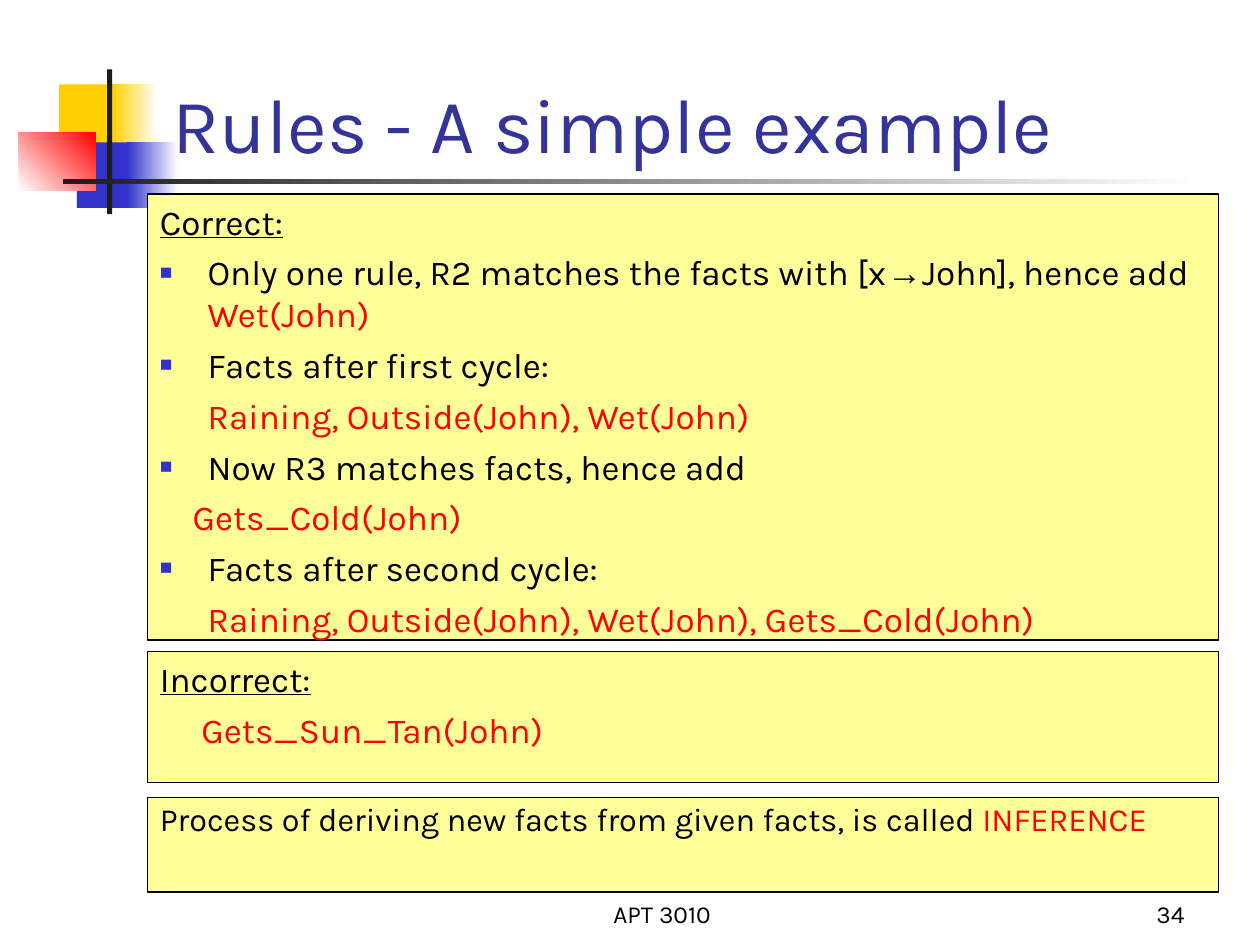
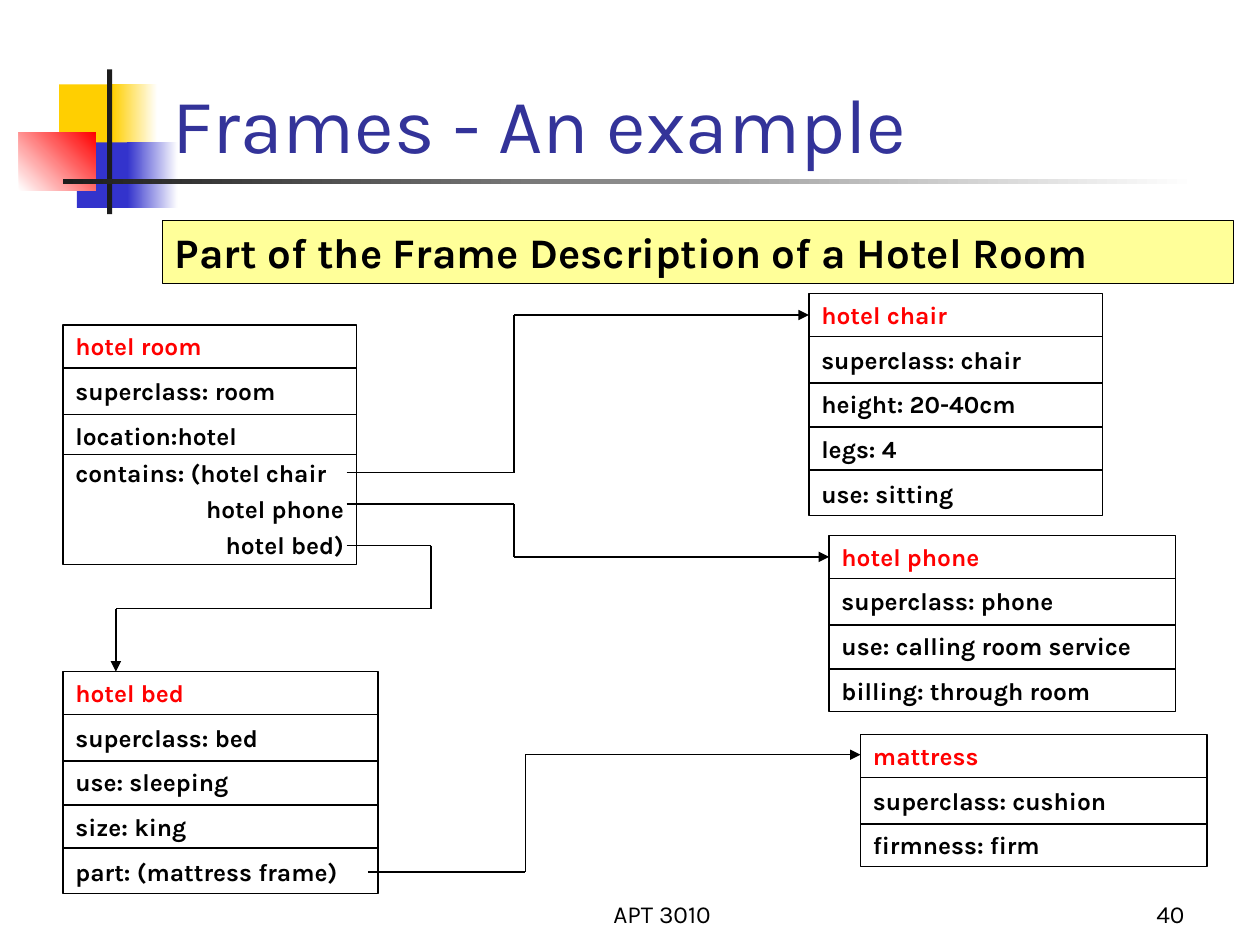
"""Build two lecture slides: a rule inference example and a frame description diagram."""
from dataclasses import dataclass
from itertools import pairwise

from lxml import etree
from pptx import Presentation
from pptx.dml.color import RGBColor
from pptx.enum.shapes import MSO_CONNECTOR, MSO_SHAPE
from pptx.enum.text import MSO_ANCHOR, PP_ALIGN
from pptx.oxml.ns import qn
from pptx.util import Cm, Pt

RECTANGLE = MSO_SHAPE.RECTANGLE
STRAIGHT = MSO_CONNECTOR.STRAIGHT
TOP, BOTTOM = MSO_ANCHOR.TOP, MSO_ANCHOR.BOTTOM
LEFT, CENTER, RIGHT = PP_ALIGN.LEFT, PP_ALIGN.CENTER, PP_ALIGN.RIGHT


@dataclass(frozen=True)
class Theme:
    font: str = "Karla"
    symbol_font: str = "Arial"
    ink: str = "000000"
    title: str = "333399"
    accent: str = "FF0000"
    panel: str = "FFFF99"
    white: str = "FFFFFF"
    yellow: str = "FFCF01"
    blue: str = "3333CC"
    bar: str = "1C1C1C"
    title_size: float = 44
    heading_size: float = 24
    body_size: float = 20
    note_size: float = 18.5
    small_size: float = 14
    outline: float = 0.74


THEME = Theme()
HANG = 0.38
ROW_LINES = (0.34, 0.71, 1.06, 1.4)


def inch(value):
    return Cm(value * 2.54)


def rgb(code):
    return RGBColor.from_string(code)


def red(text):
    return text, {"color": THEME.accent}


def add_bullet(paragraph):
    properties = paragraph._p.get_or_add_pPr()
    colour = etree.SubElement(properties, qn("a:buClr"))
    etree.SubElement(colour, qn("a:srgbClr"), val=THEME.blue)
    etree.SubElement(properties, qn("a:buSzPct"), val="60000")
    etree.SubElement(properties, qn("a:buFont"), typeface=THEME.symbol_font)
    etree.SubElement(properties, qn("a:buChar"), char="■")


def write(frame, runs, *, size=THEME.body_size, color=THEME.ink, bold=False,
          underline=False, align=LEFT, before=0, spacing=None, indent=0,
          bullet=False, anchor=TOP):
    """Add one paragraph, given as a string or as (text, overrides) runs."""
    frame.word_wrap = True
    frame.vertical_anchor = anchor
    first = frame.paragraphs[0]
    paragraph = frame.add_paragraph() if first.runs else first
    paragraph.alignment = align
    paragraph.space_before = Pt(before)
    if spacing:
        paragraph.line_spacing = spacing
    properties = paragraph._p.get_or_add_pPr()
    properties.set("marL", str(inch(indent)))
    properties.set("indent", str(-inch(indent) if bullet else 0))
    if bullet:
        add_bullet(paragraph)
    for text, changes in [(runs, {})] if isinstance(runs, str) else runs:
        run = paragraph.add_run()
        run.text = text
        font = run.font
        font.name = changes.get("font", THEME.font)
        font.size = Pt(size)
        font.bold = bold
        font.underline = underline
        font.color.rgb = rgb(changes.get("color", color))


def add_box(slide, area, fill=None, fade=None, angle=0, outlined=False):
    box = slide.shapes.add_shape(RECTANGLE, *map(inch, area))
    box.shadow.inherit = False
    if fade:
        box.fill.gradient()
        box.fill.gradient_angle = angle
        for stop, code in zip(box.fill.gradient_stops, (fill, fade)):
            stop.color.rgb = rgb(code)
    elif fill:
        box.fill.solid()
        box.fill.fore_color.rgb = rgb(fill)
    else:
        box.fill.background()
    if outlined:
        box.line.color.rgb = rgb(THEME.ink)
        box.line.width = Pt(THEME.outline)
    else:
        box.line.fill.background()
    return box.text_frame


def add_panel(slide, area):
    return add_box(slide, area, THEME.panel, outlined=True)


def add_label(slide, area, text, **style):
    label = slide.shapes.add_textbox(*map(inch, area))
    write(label.text_frame, text, anchor=BOTTOM, **style)


def add_line(slide, start, end, arrow=False):
    line = slide.shapes.add_connector(STRAIGHT, *map(inch, (*start, *end)))
    line.line.color.rgb = rgb(THEME.ink)
    line.line.width = Pt(THEME.outline)
    if arrow:
        etree.SubElement(line.line._get_or_add_ln(), qn("a:tailEnd"), type="triangle")
    etree.SubElement(line._element.spPr, qn("a:effectLst"))


def add_route(slide, *points):
    for start, end in pairwise(points):
        add_line(slide, start, end, arrow=end == points[-1])


def add_frame_card(slide, area, name, slots, fillers=(), row_lines=ROW_LINES):
    """Draw a frame: its name, its slots, and right-aligned extra fillers."""
    card = add_box(slide, area, outlined=True)
    style = {"size": THEME.small_size, "bold": True, "before": 8.8}
    write(card, name, color=THEME.accent, **style)
    for position, slot in enumerate(slots, 1):
        tight = 0.7 if fillers and position == len(slots) else None
        write(card, slot, spacing=tight, **style)
    for filler in fillers:
        write(card, filler, align=RIGHT, spacing=0.7, **style)
    left, top, width, _ = area
    for offset in row_lines[:len(slots)]:
        add_line(slide, (left, top + offset), (left + width, top + offset))


def start_slide(deck, title, number):
    slide = deck.slides.add_slide(deck.slide_layouts[6])
    add_box(slide, (0.47, 0.67, 0.48, 0.52), THEME.yellow)
    add_box(slide, (0.89, 0.67, 0.36, 0.52), THEME.yellow, THEME.white)
    add_box(slide, (0.61, 1.13, 0.46, 0.52), THEME.blue)
    add_box(slide, (1.01, 1.13, 0.4, 0.52), THEME.blue, THEME.white)
    add_box(slide, (0.15, 1.05, 0.61, 0.46), THEME.white, THEME.accent, angle=45)
    add_box(slide, (0.85, 0.55, 0.04, 1.15), THEME.bar)
    add_box(slide, (0.5, 1.42, 9, 0.04), THEME.bar, THEME.white)
    add_label(slide, (3.67, 6.92, 3.17, 0.5), "APT 3010",
              size=THEME.small_size, align=CENTER)
    add_label(slide, (7.42, 6.92, 2.08, 0.5), str(number),
              size=THEME.small_size, align=RIGHT)
    add_label(slide, (1.27, 0.14, 8.52, 1.25), title,
              size=THEME.title_size, color=THEME.title)
    return slide


def build_rules(deck):
    slide = start_slide(deck, "Rules - A simple example", 34)
    correct = add_panel(slide, (1.17, 1.54, 8.5, 3.54))
    write(correct, "Correct:", underline=True, before=5)
    first_match = [
        ("Only one rule, R2 matches the facts with [x", {}),
        ("→", {"font": THEME.symbol_font}),
        ("John], hence add ", {}),
        red("Wet(John)"),
    ]
    steps = (
        (first_match, None, 0),
        ("Facts after first cycle:", "Raining, Outside(John), Wet(John)", HANG),
        ("Now R3 matches facts, hence add", "Gets_Cold(John)", 0.26),
        ("Facts after second cycle:",
         "Raining, Outside(John), Wet(John), Gets_Cold(John)", HANG),
    )
    for step, result, indent in steps:
        write(correct, step, indent=HANG, bullet=True, before=5)
        if result:
            write(correct, result, color=THEME.accent, indent=indent, before=5)

    inference = add_panel(slide, (1.17, 6.33, 8.5, 0.75))
    write(inference,
          [("Process of deriving new facts from given facts, is called", {}),
           red(" INFERENCE")],
          size=THEME.note_size, spacing=0.9, before=5)

    incorrect = add_panel(slide, (1.17, 5.17, 8.5, 1.04))
    write(incorrect, "Incorrect:", underline=True, before=5)
    write(incorrect, "Gets_Sun_Tan(John)", color=THEME.accent, indent=0.33, before=5)


def build_frames(deck):
    slide = start_slide(deck, "Frames - An example", 40)
    heading = add_panel(slide, (1.29, 1.75, 8.5, 0.5))
    write(heading, "Part of the Frame Description of a Hotel Room",
          size=THEME.heading_size, bold=True, before=6)

    add_frame_card(slide, (0.5, 2.58, 2.33, 1.9), "hotel room",
                   ("superclass: room", "location:hotel", "contains: (hotel chair"),
                   fillers=("hotel phone", "hotel bed)"), row_lines=(0.34, 0.71, 1.03))
    add_frame_card(slide, (6.42, 2.33, 2.33, 1.76), "hotel chair",
                   ("superclass: chair", "height: 20-40cm", "legs: 4", "use: sitting"))
    add_frame_card(slide, (6.58, 4.25, 2.75, 1.4), "hotel phone",
                   ("superclass: phone", "use: calling room service",
                    "billing: through room"))
    add_frame_card(slide, (6.83, 5.83, 2.75, 1.05), "mattress",
                   ("superclass: cushion", "firmness: firm"))
    add_frame_card(slide, (0.5, 5.33, 2.5, 1.76), "hotel bed",
                   ("superclass: bed", "use: sleeping", "size: king",
                    "part: (mattress frame)"))

    add_route(slide, (2.75, 3.75), (4.08, 3.75), (4.08, 2.5), (6.42, 2.5))
    add_route(slide, (2.75, 4), (4.08, 4), (4.08, 4.42), (6.58, 4.42))
    add_route(slide, (2.75, 4.33), (3.42, 4.33), (3.42, 4.83), (0.92, 4.83), (0.92, 5.33))
    add_route(slide, (2.92, 6.92), (4.17, 6.92), (4.17, 5.99), (6.83, 5.99))


def main():
    deck = Presentation()
    deck.slide_width, deck.slide_height = inch(10), inch(7.5)
    build_rules(deck)
    build_frames(deck)
    deck.save("out.pptx")


main()
